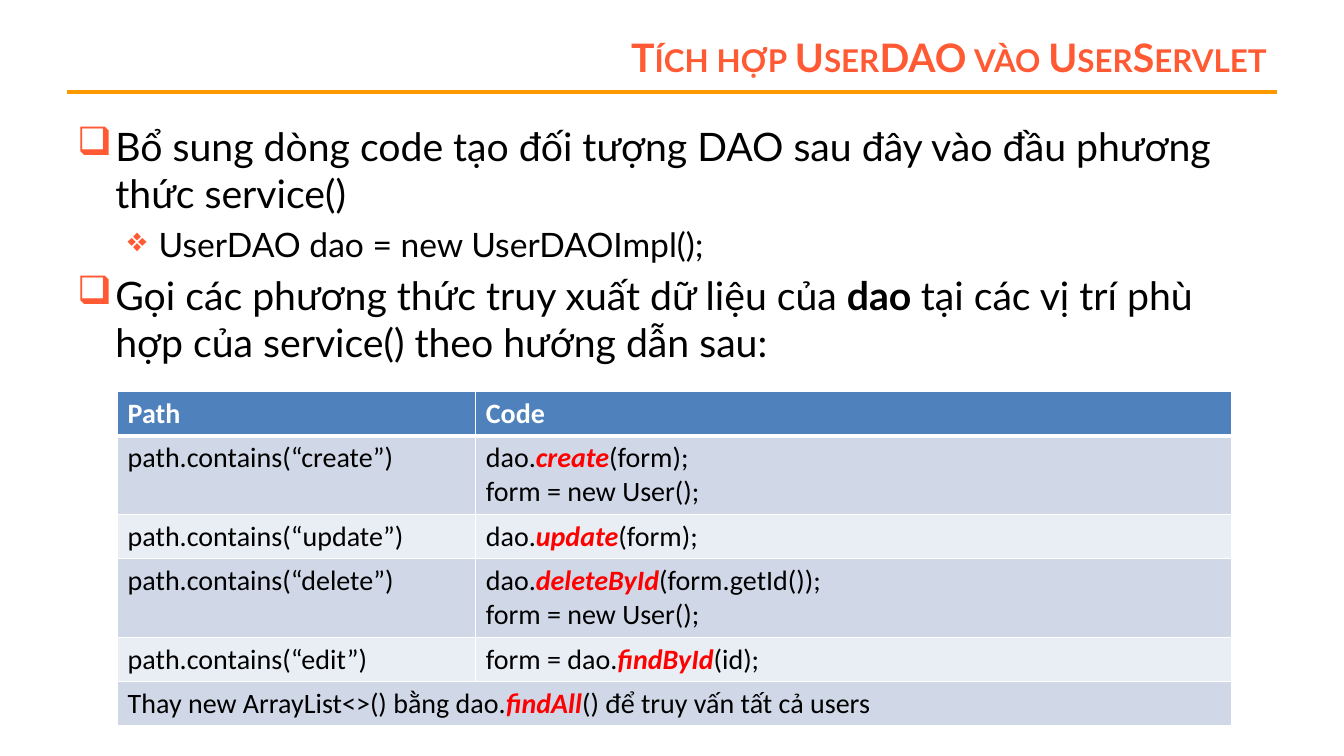
import pptx
import pptx.util
import pptx.dml.color
import pptx.enum.shapes
import pptx.enum.text
import pptx.oxml
import pptx.oxml.ns
from lxml import etree

WIDE, HIGH = 13.33, 7.5
COLS, ROWS = 20, 45
ALIGN = pptx.enum.text.PP_ALIGN
ANCHOR = pptx.enum.text.MSO_ANCHOR

ORANGE, GOLD, BLACK, WHITE, RED = "FF5A33", "FF9900", "000000", "FFFFFF", "FF0000"
BLUE, DARK, LIGHT = "4F81BD", "D0D8E8", "E9EDF4"

HEAD = {"size": pptx.util.Pt(28), "name": "Lato", "bold": True, "color": ORANGE}
BODY = {"size": pptx.util.Pt(28), "name": "Lato", "color": BLACK}
SUB = {**BODY, "size": pptx.util.Pt(24)}
CELL = {"size": pptx.util.Pt(20), "name": "Calibri", "bold": False, "color": BLACK}
TOP = {**CELL, "bold": True, "color": WHITE}
STRONG = {"bold": True}
CALL = {"bold": True, "italic": True, "color": RED}

POINTS = [
    ("❑", 0.38, 0.38, BODY,
     "Bổ sung dòng code tạo đối tượng DAO sau đây vào đầu phương thức service()"),
    ("❖", 0.81, 0.31, SUB, "UserDAO dao = new UserDAOImpl();"),
    ("❑", 0.38, 0.38, BODY,
     "Gọi các phương thức truy xuất dữ liệu của *dao *tại các vị trí phù hợp "
     "của service() theo hướng dẫn sau:"),
]
CODE = [
    ("Path", "Code"),
    ("path.contains(“create”)", "dao.*create*(form);\nform = new User();"),
    ("path.contains(“update”)", "dao.*update*(form);"),
    ("path.contains(“delete”)", "dao.*deleteById*(form.getId());\nform = new User();"),
    ("path.contains(“edit”)", "form = dao.*findById*(id);"),
    ("Thay new ArrayList<>() bằng dao.*findAll*() để truy vấn tất cả users", ""),
]


def col(count):
    """Return the width of some grid columns."""
    return pptx.util.Inches(WIDE * count / COLS)


def row(count):
    """Return the height of some grid rows."""
    return pptx.util.Inches(HIGH * count / ROWS)


def paint(code):
    """Turn a hex string into a colour."""
    return pptx.dml.color.RGBColor.from_string(code)


def style(font, form):
    """Set font values from a dict."""
    for key, value in form.items():
        if key == "color":
            font.color.rgb = paint(value)
        else:
            setattr(font, key, value)


def write(para, text, form, mark):
    """Write runs, giving parts between stars the marked format."""
    for i, part in enumerate(text.split("*")):
        if part:
            run = para.add_run()
            run.text = part
            style(run.font, {**form, **mark} if i % 2 else form)


def add_box(slide, x, y, w, h, anchor):
    """Add a wrapping text box on the grid and return its frame."""
    frame = slide.shapes.add_textbox(col(x), row(y), col(w), row(h)).text_frame
    frame.word_wrap = True
    frame.vertical_anchor = anchor
    return frame


def add_title(slide, text):
    """Add the small-caps title."""
    para = add_box(slide, 3.66, 1.8, 15.34, 3.2, ANCHOR.MIDDLE).paragraphs[0]
    para.alignment = ALIGN.RIGHT
    write(para, text, HEAD, {})
    para.runs[0].font._element.set("cap", "small")


def add_rule(slide):
    """Add the line below the title."""
    kind = pptx.enum.shapes.MSO_CONNECTOR.STRAIGHT
    rule = slide.shapes.add_connector(kind, col(1), row(5.5), col(19), row(5.5))
    rule.line.color.rgb = paint(GOLD)
    rule.line.width = pptx.util.Pt(3)
    etree.SubElement(rule._element.spPr, pptx.oxml.ns.qn("a:effectLst"))


def add_bullet(para, sign, left, hang):
    """Give a paragraph a coloured bullet and a hanging indent."""
    props = para._p.get_or_add_pPr()
    props.set("marL", str(pptx.util.Inches(left)))
    props.set("indent", str(-pptx.util.Inches(hang)))
    tint = etree.SubElement(props, pptx.oxml.ns.qn("a:buClr"))
    etree.SubElement(tint, pptx.oxml.ns.qn("a:srgbClr"), val=ORANGE)
    etree.SubElement(props, pptx.oxml.ns.qn("a:buChar"), char=sign)


def add_points(slide):
    """Add the bulleted text."""
    frame = add_box(slide, 1, 7, 18, 16, ANCHOR.TOP)
    for i, (sign, left, hang, form, text) in enumerate(POINTS):
        para = frame.add_paragraph() if i else frame.paragraphs[0]
        para.space_before = int(form["size"] * 0.2)
        add_bullet(para, sign, left, hang)
        write(para, text, form, STRONG)


def add_edges(cell, widths):
    """Draw white borders in points on the sides of a cell."""
    props = cell._tc.get_or_add_tcPr()
    for side, width in widths.items():
        edge = etree.SubElement(props, pptx.oxml.ns.qn("a:ln" + side),
                                w=str(pptx.util.Pt(width)))
        fill = etree.SubElement(edge, pptx.oxml.ns.qn("a:solidFill"))
        etree.SubElement(fill, pptx.oxml.ns.qn("a:srgbClr"), val=WHITE)


def fill_cell(cell, text, r):
    """Write, edge and fill one cell of row r."""
    add_edges(cell, {"L": 1, "R": 1, "T": 3 if r == 1 else 1, "B": 1 if r else 3})
    cell.fill.solid()
    cell.fill.fore_color.rgb = paint((DARK if r % 2 else LIGHT) if r else BLUE)
    frame = cell.text_frame
    for i, line in enumerate(text.split("\n")):
        para = frame.add_paragraph() if i else frame.paragraphs[0]
        write(para, line, CELL if r else TOP, CALL)


def add_code(slide):
    """Add the table of paths and code."""
    grid = slide.shapes.add_table(len(CODE), 2, col(1.75), row(23.3),
                                  col(16.58), row(20)).table
    for c, width in enumerate((5.33, 11.25)):
        grid.columns[c].width = col(width)
    for r, texts in enumerate(CODE):
        grid.rows[r].height = row(4.68 if "\n" in texts[1] else 2.64)
        for c, text in enumerate(texts):
            fill_cell(grid.cell(r, c), text, r)
    last = len(CODE) - 1
    grid.cell(last, 0).merge(grid.cell(last, 1))


def main():
    """Build and save the slide."""
    deck = pptx.Presentation()
    deck.slide_width = col(COLS)
    deck.slide_height = row(ROWS)
    slide = deck.slides.add_slide(deck.slide_layouts[6])
    add_rule(slide)
    add_title(slide, "Tích hợp UserDAO vào UserServlet")
    add_points(slide)
    add_code(slide)
    deck.save("out.pptx")


if __name__ == "__main__":
    main()
